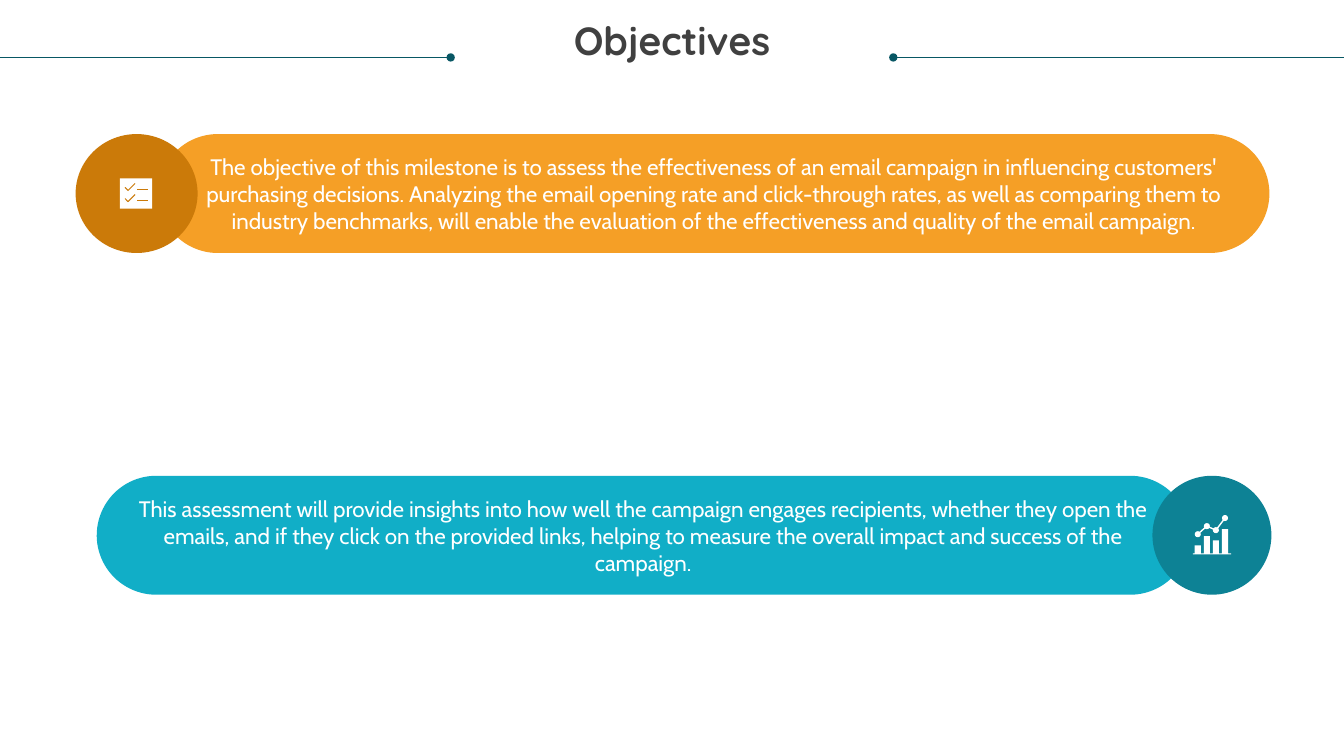
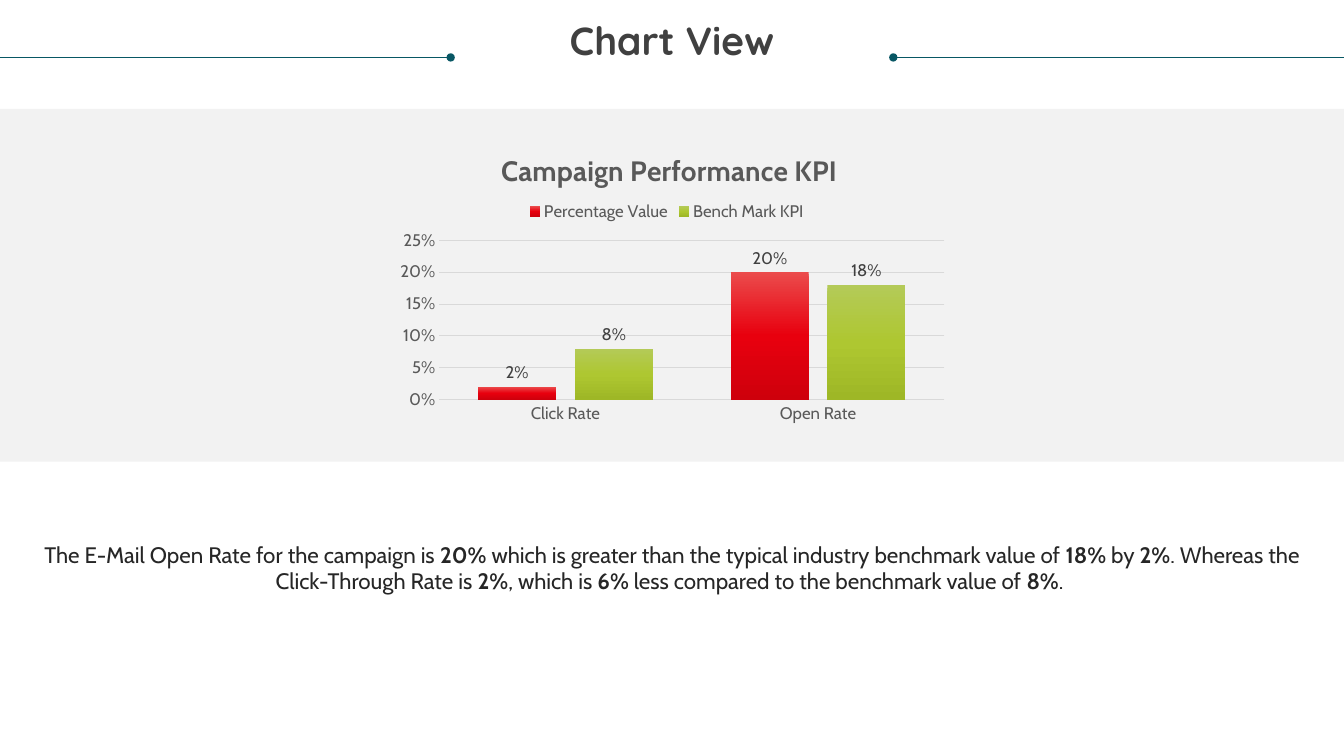
from lxml import etree
from pptx import Presentation
from pptx.chart.data import CategoryChartData
from pptx.dml.color import RGBColor
from pptx.enum.chart import XL_CHART_TYPE as ChartType
from pptx.enum.chart import XL_LABEL_POSITION as LabelPosition
from pptx.enum.chart import XL_LEGEND_POSITION as LegendPosition
from pptx.enum.chart import XL_TICK_MARK as TickMark
from pptx.enum.shapes import MSO_CONNECTOR as Connector
from pptx.enum.shapes import MSO_SHAPE as Shape
from pptx.enum.text import MSO_ANCHOR as Anchor
from pptx.enum.text import PP_ALIGN as Align
from pptx.oxml.ns import qn
from pptx.util import Inches, Pt

WIDTH, HEIGHT = 13.33, 7.5
TITLE_FONT, BODY_FONT = "Quicksand", "Cabin"
WHITE, BAND, GRID = "FFFFFF", "F2F2F2", "D9D9D9"
RULE, TITLE, BODY = "085764", "404040", "262626"
AXIS = "595959"
ORANGE, DARK_ORANGE = "F59F26", "CB7A09"
TEAL, DARK_TEAL = "11AEC7", "0D8295"
RED_STOPS = [(0, "EB4B4C"), (50, "E8000E"), (100, "CE000C")]
GREEN_STOPS = [(0, "B4CA58"), (50, "AEC731"), (100, "9EB726")]


def rgb(color):
    return RGBColor.from_string(color)


def set_font(font, size, color, bold=False, name=BODY_FONT):
    font.name, font.size, font.bold = name, Pt(size), bold
    font.color.rgb = rgb(color)


def place_part(part, index, **fractions):
    """Fix a chart part at fractions of the chart's size."""
    for old in part.findall(qn("c:layout")):
        part.remove(old)
    layout = etree.Element(qn("c:layout"))
    manual = etree.SubElement(layout, qn("c:manualLayout"))
    if "w" in fractions:
        etree.SubElement(manual, qn("c:layoutTarget"), val="inner")
    for axis in "xy":
        etree.SubElement(manual, qn(f"c:{axis}Mode"), val="edge")
    for key, value in fractions.items():
        etree.SubElement(manual, qn(f"c:{key}"), val=str(value))
    part.insert(index, layout)


class Deck:
    """Holds the shared style and the page being drawn."""

    def __init__(self):
        self.file = Presentation()
        self.file.slide_width = Inches(WIDTH)
        self.file.slide_height = Inches(HEIGHT)
        self.page = None

    def add_page(self):
        self.page = self.file.slides.add_slide(self.file.slide_layouts[6])

    def header(self, title):
        for dot, edge in ((4.47, 0), (8.86, WIDTH)):
            self.rule(dot, edge, 0.57)
        self.text(0.25, 0.21, 12.83, 0.85, [(title, True)], 28, TITLE,
                  spacing=0.9, name=TITLE_FONT)

    def rule(self, dot, edge, y):
        """Draw a horizontal line with a round dot at its start."""
        line = self.page.shapes.add_connector(
            Connector.STRAIGHT, Inches(dot), Inches(y), Inches(edge), Inches(y))
        line.line.color.rgb = rgb(RULE)
        line.line.width = Pt(0.5)
        outline = line.element.xpath(".//a:ln")[0]
        etree.SubElement(outline, qn("a:headEnd"), type="oval")
        etree.SubElement(line.element.spPr, qn("a:effectLst"))

    def paint(self, shape, fill=None, line=None, weight=0.75):
        shape.shadow.inherit = False
        if fill:
            shape.fill.solid()
            shape.fill.fore_color.rgb = rgb(fill)
        else:
            shape.fill.background()
        if line:
            shape.line.color.rgb = rgb(line)
            shape.line.width = Pt(weight)
        else:
            shape.line.fill.background()
        return shape

    def shape(self, kind, left, top, width, height, fill):
        return self.paint(self.page.shapes.add_shape(
            kind, Inches(left), Inches(top), Inches(width), Inches(height)), fill)

    def outline(self, points, closed=False, **style):
        corners = [(Inches(x), Inches(y)) for x, y in points]
        builder = self.page.shapes.build_freeform(*corners[0])
        builder.add_line_segments(corners[1:], close=closed)
        return self.paint(builder.convert_to_shape(), **style)

    def add_spans(self, frame, spans, size, color, spacing=None, name=BODY_FONT):
        frame.word_wrap = True
        para = frame.paragraphs[0]
        para.alignment = Align.CENTER
        if spacing:
            para.line_spacing = spacing
        for words, bold in spans:
            span = para.add_run()
            span.text = words
            set_font(span.font, size, color, bold, name)

    def text(self, left, top, width, height, spans, size, color, **style):
        box = self.page.shapes.add_textbox(
            Inches(left), Inches(top), Inches(width), Inches(height))
        frame = box.text_frame
        frame.margin_left = frame.margin_right = 0
        frame.margin_top = frame.margin_bottom = 0
        self.add_spans(frame, spans, size, color, **style)

    def banner(self, left, top, width, fill, words):
        pill = self.shape(Shape.ROUNDED_RECTANGLE, left, top, width, 1.18, fill)
        pill.adjustments[0] = 0.5
        pill.text_frame.vertical_anchor = Anchor.MIDDLE
        self.add_spans(pill.text_frame, [(words, False)], 16, WHITE)

    def checklist_icon(self, left, top):
        self.shape(Shape.RECTANGLE, left, top, 0.32, 0.3, WHITE)
        for y in (top + 0.11, top + 0.22):
            self.outline([(left + 0.05, y - 0.02), (left + 0.08, y + 0.01),
                          (left + 0.15, y - 0.06)], line=DARK_ORANGE)
            self.outline([(left + 0.17, y), (left + 0.28, y)], line=DARK_ORANGE)

    def growth_icon(self, left, base):
        """Draw four bars on a base line under a dotted trend."""
        skyline = [(left, base), (left, base - 0.01)]
        for index, height in enumerate((0.09, 0.18, 0.14, 0.25)):
            start = left + 0.02 + 0.09 * index
            end = start + 0.06
            skyline += [(start, base - 0.01), (start, base - height),
                        (end, base - height), (end, base - 0.01)]
        skyline += [(left + 0.38, base - 0.01), (left + 0.38, base)]
        self.outline(skyline, closed=True, fill=WHITE)
        rises = (0.2, 0.28, 0.24, 0.36)
        trend = [(left + 0.05 + 0.09 * index, base - rise)
                 for index, rise in enumerate(rises)]
        self.outline(trend, line=WHITE, weight=1)
        for x, y in trend:
            self.shape(Shape.OVAL, x - 0.03, y - 0.03, 0.06, 0.06, WHITE)

    def column_chart(self, left, top, width, height, title, categories, series):
        data = CategoryChartData(number_format="0%")
        data.categories = categories
        for name, values, _ in series:
            data.add_series(name, values)
        chart = self.page.shapes.add_chart(
            ChartType.COLUMN_CLUSTERED, Inches(left), Inches(top),
            Inches(width), Inches(height), data).chart
        set_font(chart.font, 10, "000000")

        span = chart.chart_title.text_frame.paragraphs[0].add_run()
        span.text = title
        set_font(span.font, 20, AXIS, True)
        chart.has_legend = True
        chart.legend.position = LegendPosition.TOP
        chart.legend.include_in_layout = False
        set_font(chart.legend.font, 12, AXIS)

        for axis in (chart.category_axis, chart.value_axis):
            axis.major_tick_mark = axis.minor_tick_mark = TickMark.NONE
            set_font(axis.tick_labels.font, 12, AXIS)
        chart.category_axis.format.line.color.rgb = rgb(GRID)
        chart.category_axis.format.line.width = Pt(1)
        scale = chart.value_axis
        scale.minimum_scale, scale.maximum_scale, scale.major_unit = 0, 0.25, 0.05
        scale.format.line.fill.background()
        scale.major_gridlines.format.line.color.rgb = rgb(GRID)
        scale.major_gridlines.format.line.width = Pt(0.75)
        scale.tick_labels.number_format = "0%"
        scale.tick_labels.number_format_is_linked = False

        plot = chart.plots[0]
        plot.gap_width, plot.overlap = 100, -24
        plot.vary_by_categories = False
        for columns in plot.series:
            columns.invert_if_negative = False
            columns.format.fill.gradient()
            columns.format.fill.gradient_angle = 270
            labels = columns.data_labels
            labels.show_value = True
            labels.position = LabelPosition.OUTSIDE_END
            labels.number_format = "0%"
            labels.number_format_is_linked = False
            set_font(labels.font, 12, TITLE)
        root = chart.element
        stop_lists = root.xpath(".//c:ser/c:spPr//a:gsLst")
        for stop_list, (_, _, stops) in zip(stop_lists, series):
            for old in list(stop_list):
                stop_list.remove(old)
            for percent, color in stops:
                stop = etree.SubElement(stop_list, qn("a:gs"), pos=str(percent * 1000))
                etree.SubElement(stop, qn("a:srgbClr"), val=color)

        place_part(root.xpath("c:chart/c:title")[0], 1, x=0.19, y=0.07)
        place_part(root.xpath("c:chart/c:legend")[0], 1, x=0.24, y=0.24)
        place_part(root.xpath("c:chart/c:plotArea")[0], 0,
                   x=0.09, y=0.38, w=0.89, h=0.52)


def objectives(deck):
    deck.add_page()
    deck.header("Objectives")
    deck.banner(1.57, 1.33, 11.02, ORANGE,
                "The objective of this milestone is to assess the effectiveness of an "
                "email campaign in influencing customers' purchasing decisions. "
                "Analyzing the email opening rate and click-through rates, as well as "
                "comparing them to industry benchmarks, will enable the evaluation of "
                "the effectiveness and quality of the email campaign.")
    deck.shape(Shape.OVAL, 0.75, 1.33, 1.21, 1.18, DARK_ORANGE)
    deck.checklist_icon(1.19, 1.77)
    deck.banner(0.96, 4.72, 10.84, TEAL,
                "This assessment will provide insights into how well the campaign "
                "engages recipients, whether they open the emails, and if they click "
                "on the provided links, helping to measure the overall impact and "
                "success of the campaign.")
    deck.shape(Shape.OVAL, 11.43, 4.72, 1.18, 1.18, DARK_TEAL)
    deck.growth_icon(11.83, 5.5)


def chart_view(deck):
    deck.add_page()
    deck.shape(Shape.RECTANGLE, 0, 1.08, WIDTH, 3.5, BAND)
    deck.header("Chart View")
    deck.column_chart(3.85, 1.23, 5.63, 3.04, "Campaign Performance KPI",
                      ["Click Rate", "Open Rate"],
                      [("Percentage Value", (0.02, 0.2), RED_STOPS),
                       ("Bench Mark KPI", (0.08, 0.18), GREEN_STOPS)])
    deck.text(0.25, 5.37, 12.83, 0.53, [
        ("The E-Mail Open Rate for the campaign is ", False), ("20%", True),
        (" which is greater than the typical industry benchmark value of ", False),
        ("18%", True), (" by ", False), ("2%", True),
        (". Whereas the Click-Through Rate is ", False), ("2%", True),
        (", which is ", False), ("6%", True),
        (" less compared to the benchmark value of ", False), ("8%", True),
        (". ", False)], 16, BODY, spacing=Pt(19))


def main():
    deck = Deck()
    objectives(deck)
    chart_view(deck)
    deck.file.save("out.pptx")


if __name__ == "__main__":
    main()
